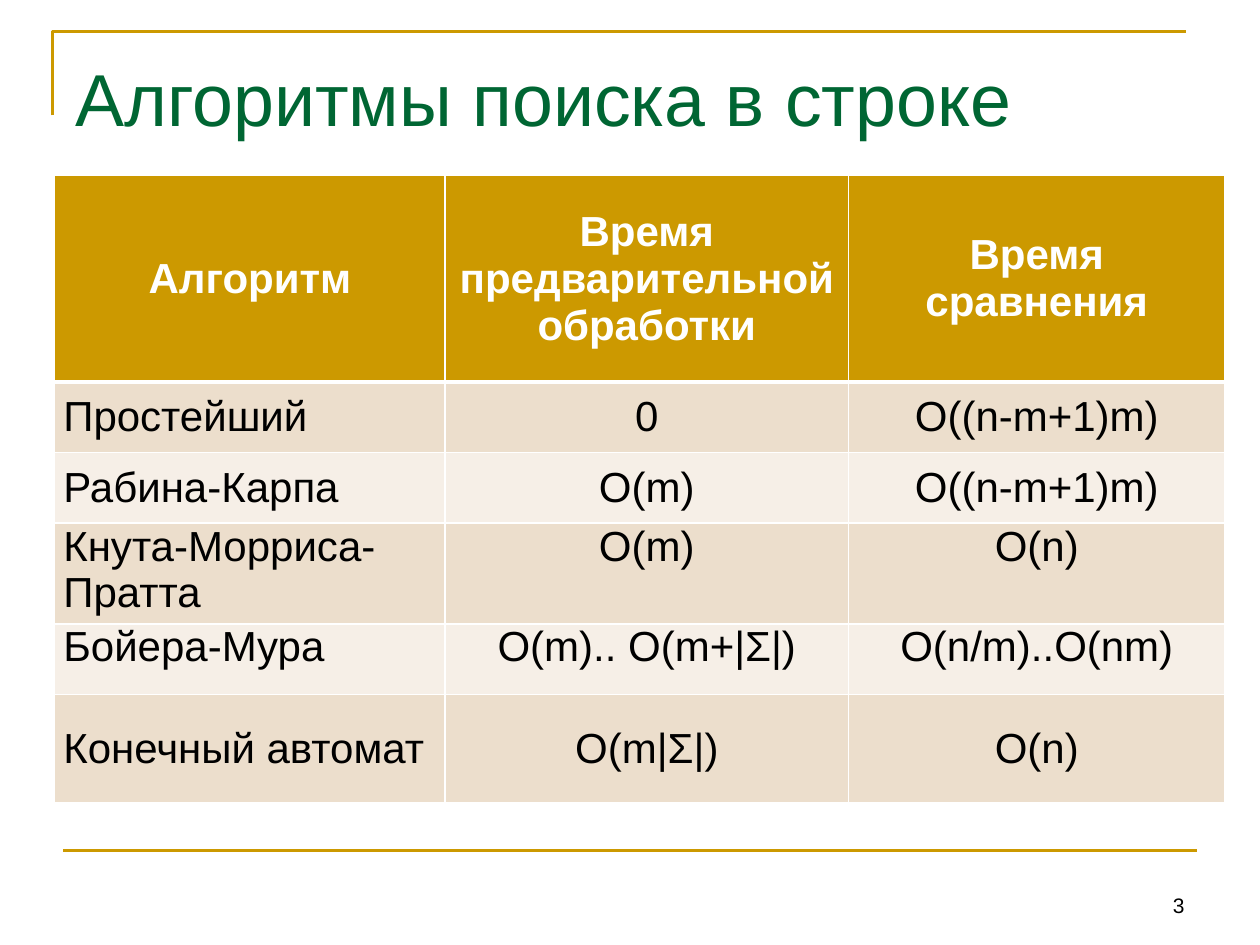
from lxml.etree import SubElement
from pptx import Presentation
from pptx.dml.color import RGBColor
from pptx.enum.shapes import MSO_CONNECTOR
from pptx.enum.text import MSO_ANCHOR, PP_ALIGN
from pptx.oxml.ns import qn
from pptx.util import Pt

COLORS = {
    "gold": "CC9900",
    "green": "006633",
    "white": "FFFFFF",
    "black": "000000",
    "band_dark": "ECDECC",
    "band_light": "F6EFE7",
}
FONT = "Arial"
COLUMN_WIDTHS = [223.2, 230.4, 215.28]
ROW_HEIGHTS = [118.08, 40.32, 40.32, 40.32, 40.32, 61.92]
HEADER = ["Алгоритм", "Время предварительной обработки", "Время сравнения"]
# Each algorithm: cells, alignment of its name, vertical anchor
ALGORITHMS = [
    (["Простейший", "0", "O((n-m+1)m)"], PP_ALIGN.LEFT, MSO_ANCHOR.MIDDLE),
    (["Рабина-Карпа", "O(m)", "O((n-m+1)m)"], PP_ALIGN.LEFT, MSO_ANCHOR.MIDDLE),
    (["Кнута-Морриса-Пратта", "O(m)", "O(n)"], PP_ALIGN.JUSTIFY, MSO_ANCHOR.TOP),
    (["Бойера-Мура", "O(m).. O(m+|Σ|)", "O(n/m)..O(nm)"],
     PP_ALIGN.JUSTIFY, MSO_ANCHOR.TOP),
    (["Конечный автомат", "O(m|Σ|)", "O(n)"], PP_ALIGN.LEFT, MSO_ANCHOR.MIDDLE),
]


def rgb(name):
    return RGBColor.from_string(COLORS[name])


def write_text(frame, text, size=24, color="black", bold=False, align=PP_ALIGN.LEFT):
    frame.word_wrap = True
    paragraph = frame.paragraphs[0]
    paragraph.alignment = align
    run = paragraph.add_run()
    run.text = text
    run.font.name = FONT
    run.font.size = Pt(size)
    run.font.bold = bold
    run.font.color.rgb = rgb(color)


def add_label(slide, box, text, anchor=MSO_ANCHOR.TOP, margin_top=3.6, **text_format):
    frame = slide.shapes.add_textbox(*map(Pt, box)).text_frame
    frame.vertical_anchor = anchor
    frame.margin_top = Pt(margin_top)
    write_text(frame, text, **text_format)


def style_line(line):
    line.color.rgb = rgb("gold")
    line.width = Pt(1.5)


def add_corner(slide):
    """Draw the open corner that frames the title."""
    builder = slide.shapes.build_freeform(Pt(30), Pt(66), scale=1.0)
    builder.add_line_segments([(Pt(30), Pt(18)), (Pt(678), Pt(18))], close=False)
    corner = builder.convert_to_shape()
    corner.shadow.inherit = False
    corner.fill.background()
    style_line(corner.line)


def add_footer_rule(slide):
    rule = slide.shapes.add_connector(
        MSO_CONNECTOR.STRAIGHT, Pt(36), Pt(486), Pt(684), Pt(486))
    style_line(rule.line)
    SubElement(rule._element.spPr, qn("a:effectLst"))


def set_borders(cell, top=1, bottom=1):
    """Give the cell white borders; must run before its fill is set."""
    properties = cell._tc.get_or_add_tcPr()
    for side, width in (("L", 1), ("R", 1), ("T", top), ("B", bottom)):
        border = SubElement(properties, qn(f"a:ln{side}"), w=str(Pt(width)))
        fill = SubElement(border, qn("a:solidFill"))
        SubElement(fill, qn("a:srgbClr"), val=COLORS["white"])


def fill_cell(cell, text, fill, anchor, borders, **text_format):
    set_borders(cell, **borders)
    cell.fill.solid()
    cell.fill.fore_color.rgb = rgb(fill)
    cell.vertical_anchor = anchor
    cell.margin_left = cell.margin_right = Pt(5)
    cell.margin_top = cell.margin_bottom = Pt(0)
    write_text(cell.text_frame, text, **text_format)


def add_comparison(slide):
    table = slide.shapes.add_table(
        len(ROW_HEIGHTS), len(COLUMN_WIDTHS), Pt(31.2), Pt(100.2),
        Pt(sum(COLUMN_WIDTHS)), Pt(sum(ROW_HEIGHTS))).table
    for column, width in zip(table.columns, COLUMN_WIDTHS):
        column.width = Pt(width)
    for row, height in zip(table.rows, ROW_HEIGHTS):
        row.height = Pt(height)

    for col, heading in enumerate(HEADER):
        fill_cell(table.cell(0, col), heading, "gold", MSO_ANCHOR.MIDDLE,
                  {"bottom": 3}, color="white", bold=True, align=PP_ALIGN.CENTER)
    for row, (values, name_align, anchor) in enumerate(ALGORITHMS, start=1):
        band = "band_dark" if row % 2 else "band_light"
        borders = {"top": 3} if row == 1 else {}
        for col, value in enumerate(values):
            fill_cell(table.cell(row, col), value, band, anchor, borders,
                      align=PP_ALIGN.CENTER if col else name_align)


def main():
    presentation = Presentation()
    presentation.slide_width = Pt(720)
    presentation.slide_height = Pt(540)
    slide = presentation.slides.add_slide(presentation.slide_layouts[6])
    add_corner(slide)
    add_footer_rule(slide)
    add_label(slide, (36, 21.6, 648, 90), "Алгоритмы поиска в строке",
              margin_top=8.4, size=42, color="green")
    add_comparison(slide)
    add_label(slide, (516, 492, 168, 36), "3", anchor=MSO_ANCHOR.BOTTOM,
              size=12, align=PP_ALIGN.RIGHT)
    presentation.save("out.pptx")


if __name__ == "__main__":
    main()
